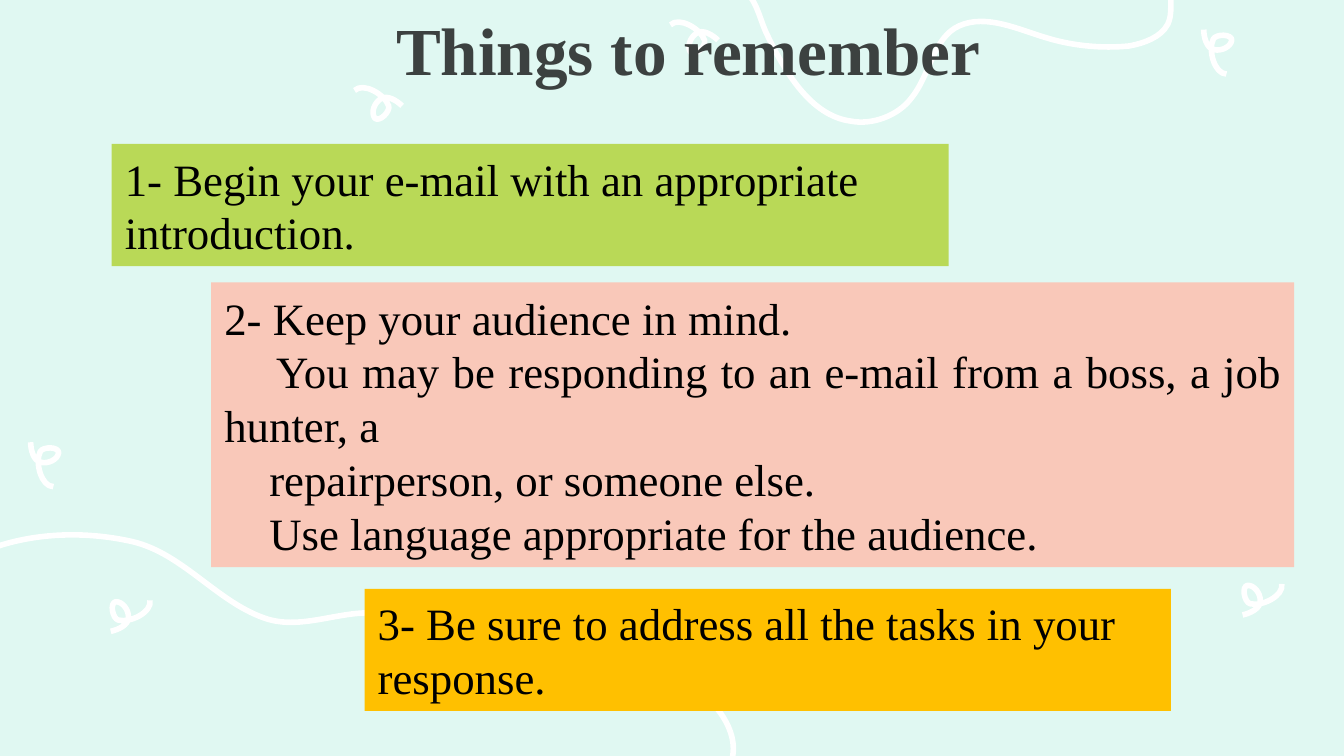
import pptx
import pptx.util
import pptx.oxml.ns
import pptx.dml.color
import pptx.enum.text
import pptx.enum.shapes
import lxml.etree

Cm = pptx.util.Cm
ALIGN = pptx.enum.text.PP_ALIGN
COLORS = {"mint": "E0F8F2", "white": "FFFFFF", "title": "3C4140", "text": "000000",
          "green": "B9D957", "pink": "F9C8B9", "amber": "FFC000"}


def color(name):
    return pptx.dml.color.RGBColor.from_string(COLORS[name])


def write(para, text, size=24, ink="text", bold=False, align=ALIGN.LEFT, indent=0):
    para.alignment = align
    para.line_spacing = 1.0
    if indent:
        para._p.get_or_add_pPr().set("indent", str(Cm(indent)))
    span = para.add_run()
    span.text = text
    span.font.name = "Times New Roman"
    span.font.size = pptx.util.Pt(size)
    span.font.bold = bold
    span.font.color.rgb = color(ink)


deck = pptx.Presentation()
deck.slide_width, deck.slide_height = Cm(25.4), Cm(14.29)
page = deck.slides.add_slide(deck.slide_layouts[5])
page.background.fill.solid()
page.background.fill.fore_color.rgb = color("mint")

# Hand-drawn lines: a start point, then three points per Bezier segment
curl = [(0, 0), (0, 0.13), (0.05, 0.36), (0.2, 0.38), (0.33, 0.41), (0.51, 0.33), (0.53, 0.2),
        (0.53, 0.08), (0.23, 0.08), (0.18, 0.18), (0.08, 0.38), (0.2, 0.84), (0.43, 0.84)]
top_wave = [(0, 0), (0.28, 0.15), (0.33, 0.56), (0.48, 0.86), (0.81, 1.55), (1.3, 2.39),
            (2.06, 2.49), (2.46, 2.57), (2.95, 2.39), (3.2, 2.06), (3.56, 1.63), (3.61, 0.91),
            (4.11, 0.69), (4.62, 0.46), (5.23, 0.76), (5.74, 0.91), (6.25, 1.07), (6.81, 1.12),
            (7.32, 1.07), (7.59, 1.02), (7.92, 0.91), (8.05, 0.66), (8.15, 0.46), (8.08, 0.2),
            (8.13, 0)]
bottom_wave = [(0, 0.71), (0.38, 0.71), (0.66, 0.28), (1.04, 0.18), (1.83, -0.05), (2.69, -0.05),
               (3.48, 0.13), (4.45, 0.36), (5.11, 1.32), (6.05, 1.6), (6.76, 1.8), (7.52, 1.37),
               (8.23, 1.5), (8.86, 1.63), (9.25, 2.31), (9.88, 2.49), (11.07, 2.87), (12.4, 2.46),
               (13.61, 2.69), (14.25, 2.82), (14.96, 3.58), (14.81, 4.22)]
drawings = [(curl, 0.58, 8.36, 0), (curl, 6.85, 1.47, 135), (curl, 23.58, 10.86, 258.8),
            (curl, 22.75, 0.56, 0), (curl, 12.82, 0.23, 135), (curl, 2.19, 11.17, 258.8),
            (top_wave, 14.02, -0.2, 0), (bottom_wave, -0.97, 10.11, 0)]
for points, left, top, angle in drawings:
    spots = [(Cm(left + x), Cm(top + y)) for x, y in points]
    builder = page.shapes.build_freeform(*spots[0])
    builder.add_line_segments(spots[1:], close=False)
    line = builder.convert_to_shape()
    # Turn each three straight steps into one Bezier segment
    steps = line._element.xpath(".//a:lnTo")
    for first in range(0, len(steps), 3):
        curve = lxml.etree.Element(pptx.oxml.ns.qn("a:cubicBezTo"))
        steps[first].addprevious(curve)
        for step in steps[first:first + 3]:
            curve.append(step[0])
            step.getparent().remove(step)
    line.rotation = angle
    line.shadow.inherit = False
    line.fill.background()
    line.line.color.rgb = color("white")
    line.line.width = pptx.util.Pt(3)

# Title, in front of the lines
title = page.shapes.title
page.shapes._spTree.append(title._element)
title.left, title.top, title.width, title.height = Cm(5.1), Cm(0.34), Cm(15.82), Cm(1.6)
frame = title.text_frame
frame.auto_size = pptx.enum.text.MSO_AUTO_SIZE.NONE
frame.vertical_anchor = pptx.enum.text.MSO_ANCHOR.BOTTOM
frame.margin_left = frame.margin_right = frame.margin_top = frame.margin_bottom = Cm(0.25)
write(frame.paragraphs[0], "Things to remember", size=36, ink="title", bold=True,
      align=ALIGN.CENTER)

# Advice boxes: left, top, width, height, fill, paragraphs with their format
advice = [
    (2.11, 2.72, 15.82, 2.31, "green",
     [("1- Begin your e-mail with an appropriate introduction.", {})]),
    (3.99, 5.34, 20.47, 5.38, "pink",
     [("2- Keep your audience in mind.", {}),
      ("You may be responding to an e-mail from a boss, a job hunter, a",
       {"align": ALIGN.JUSTIFY, "indent": 0.98}),
      ("repairperson, or someone else.", {"indent": 0.85}),
      ("Use language appropriate for the audience.", {"indent": 0.85})]),
    (6.89, 11.13, 15.24, 2.31, "amber",
     [("3- Be sure to address all the tasks in your response.", {})]),
]
for left, top, width, height, fill, lines in advice:
    box = page.shapes.add_shape(pptx.enum.shapes.MSO_SHAPE.RECTANGLE,
                                Cm(left), Cm(top), Cm(width), Cm(height))
    box.shadow.inherit = False
    box.fill.solid()
    box.fill.fore_color.rgb = color(fill)
    box.line.fill.background()
    frame = box.text_frame
    frame.word_wrap = True
    for number, (text, style) in enumerate(lines):
        para = frame.add_paragraph() if number else frame.paragraphs[0]
        write(para, text, **style)

deck.save("out.pptx")
